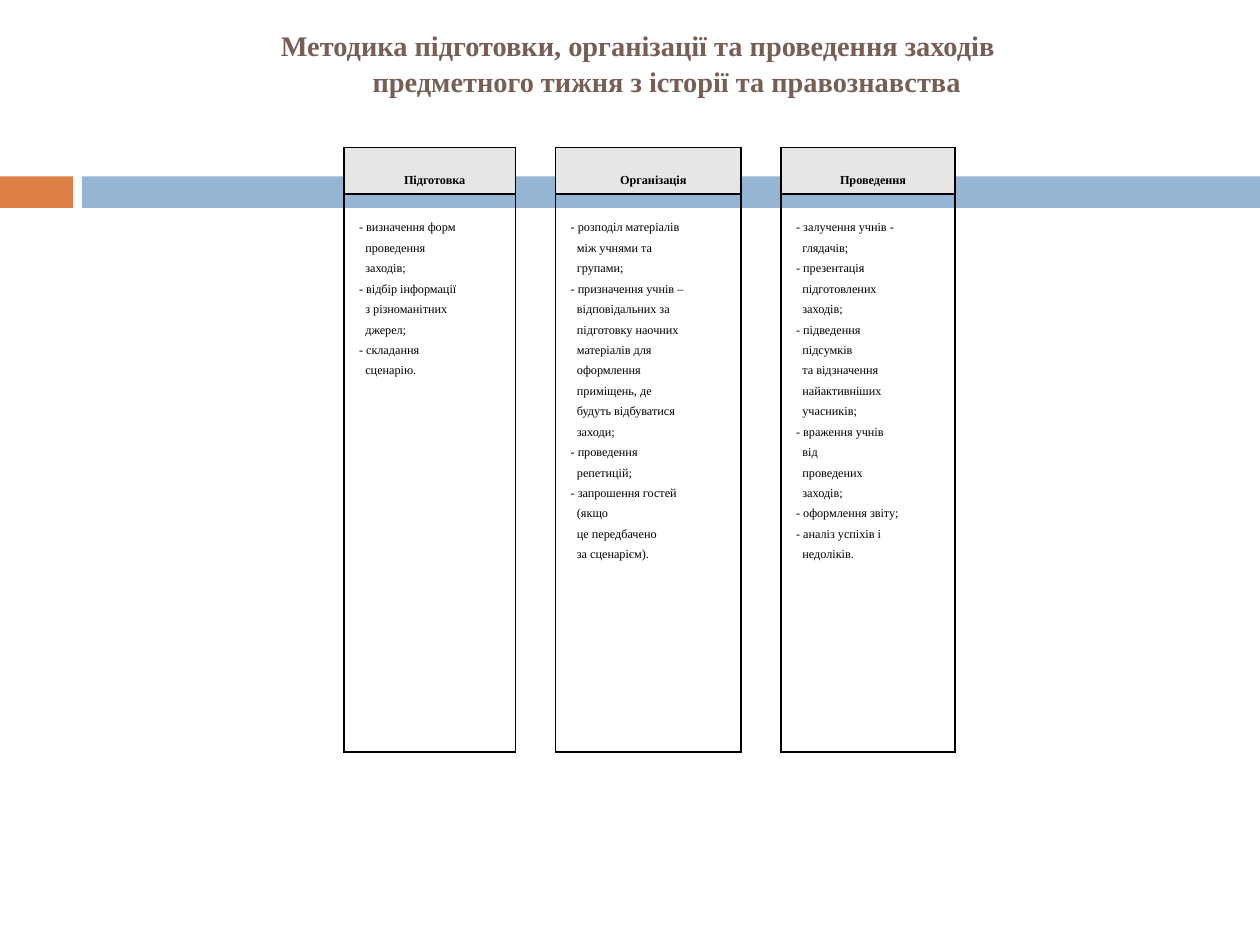
from lxml import etree
from pptx import Presentation
from pptx.dml.color import RGBColor
from pptx.enum.shapes import MSO_SHAPE
from pptx.enum.text import MSO_ANCHOR, PP_ALIGN
from pptx.oxml.ns import qn
from pptx.util import Inches, Pt

RECT = MSO_SHAPE.RECTANGLE
TOP = MSO_ANCHOR.TOP
CENTER, LEFT = PP_ALIGN.CENTER, PP_ALIGN.LEFT
FONT = "Times New Roman"
COLORS = {
    "accent": "DD8047",
    "band": "94B6D2",
    "title": "775F55",
    "header": "E6E6E6",
    "ink": "000000",
}
TITLE_LINES = [
    "Методика підготовки, організації та проведення заходів",
    "предметного тижня з історії та правознавства",
]
# Each stage: heading, column width, items (line breaks inside an item are "\v")
STAGES = [
    ("Підготовка", 1.36, [
        "- визначення форм\vпроведення\vзаходів;",
        "- відбір інформації\vз різноманітних\vджерел;",
        "- складання\vсценарію.",
    ]),
    ("Організація", 1.47, [
        "- розподіл матеріалів\vміж учнями та\vгрупами;",
        "- призначення учнів –\vвідповідальних за\vпідготовку наочних\vматеріалів для"
        "\vоформлення\vприміщень, де\vбудуть відбуватися\vзаходи;",
        "- проведення\vрепетицій;",
        "- запрошення гостей\v(якщо\vце передбачено\vза сценарієм).",
    ]),
    ("Проведення", 1.38, [
        "- залучення учнів -\vглядачів;",
        "- презентація\vпідготовлених\vзаходів;",
        "- підведення\vпідсумків\vта відзначення\vнайактивніших\vучасників;",
        "- враження учнів\vвід\vпроведених\vзаходів;",
        "- оформлення звіту;",
        "- аналіз успіхів і\vнедоліків.",
    ]),
]
GAP_WIDTH = 0.32
ROW_HEIGHTS = [0.37, 4.43]


def write_paragraphs(frame, texts, size, color, bold, align, spacing, left=0, hanging=0):
    """Fill a text frame with equally formatted paragraphs; indents are in inches."""
    for index, text in enumerate(texts):
        paragraph = frame.paragraphs[0] if index == 0 else frame.add_paragraph()
        paragraph.text = text
        paragraph.alignment = align
        paragraph.line_spacing = spacing
        properties = paragraph._p.get_or_add_pPr()
        properties.set("marL", str(Inches(left + hanging)))
        properties.set("indent", str(-Inches(hanging)))
        for run in paragraph.runs:
            run.font.name = FONT
            run.font.size = Pt(size)
            run.font.bold = bold
            run.font.color.rgb = RGBColor.from_string(color)


def set_borders(cell, visible):
    """Draw the sides named in visible (L, R, T, B) and clear the others."""
    properties = cell._tc.get_or_add_tcPr()
    for side in "LRTB":
        border = etree.SubElement(properties, qn(f"a:ln{side}"), w=str(Pt(1)))
        if side in visible:
            fill = etree.SubElement(border, qn("a:solidFill"))
            etree.SubElement(fill, qn("a:srgbClr"), val=COLORS["ink"])
        else:
            etree.SubElement(border, qn("a:noFill"))


prs = Presentation()
prs.slide_width, prs.slide_height = Inches(10), Inches(7.5)
slide = prs.slides.add_slide(prs.slide_layouts[6])

# Decorative band
for left, width, color in [(0, 0.58, "accent"), (0.65, 9.35, "band")]:
    bar = slide.shapes.add_shape(RECT, Inches(left), Inches(1.4), Inches(width), Inches(0.25))
    bar.shadow.inherit = False
    bar.fill.solid()
    bar.fill.fore_color.rgb = RGBColor.from_string(COLORS[color])
    bar.line.fill.background()

# Title, with the second line shifted to the right
title = slide.shapes.add_textbox(Inches(0.67), Inches(0.21), Inches(8.78), Inches(0.9)).text_frame
title.word_wrap = True
title.vertical_anchor = TOP
title.margin_left = title.margin_right = title.margin_top = title.margin_bottom = 0
write_paragraphs(title, TITLE_LINES, 16.2, COLORS["title"], True, CENTER, 1.05)
title.paragraphs[1]._p.get_or_add_pPr().set("marL", str(Inches(0.46)))

# Table: stage columns separated by merged gap columns
column_count = 2 * len(STAGES) - 1
table_width = sum(width for _, width, _ in STAGES) + GAP_WIDTH * (len(STAGES) - 1)
table = slide.shapes.add_table(
    2, column_count, Inches(2.73), Inches(1.17), Inches(table_width), Inches(sum(ROW_HEIGHTS))
).table
table.first_row = table.horz_banding = False
for row, height in zip(table.rows, ROW_HEIGHTS):
    row.height = Inches(height)

for column in range(column_count):
    is_gap = column % 2 == 1
    heading, width, items = STAGES[column // 2]
    table.columns[column].width = Inches(GAP_WIDTH if is_gap else width)
    header, body = table.cell(0, column), table.cell(1, column)
    for cell, top_margin in [(header, 0.15), (body, 0.16)]:
        set_borders(cell, "LR" if is_gap else "LRTB")
        cell.fill.background()
        cell.vertical_anchor = TOP
        cell.margin_left = cell.margin_right = Inches(0.04)
        cell.margin_top = 0 if is_gap else Inches(top_margin)
        cell.margin_bottom = 0
    if is_gap:
        header.merge(body)
        continue
    header.fill.solid()
    header.fill.fore_color.rgb = RGBColor.from_string(COLORS["header"])
    write_paragraphs(header.text_frame, [heading], 7, COLORS["ink"], True, CENTER, 1.5, 0.08)
    write_paragraphs(body.text_frame, items, 7, COLORS["ink"], False, LEFT, 1.5, 0.08, 0.05)

prs.save("out.pptx")
